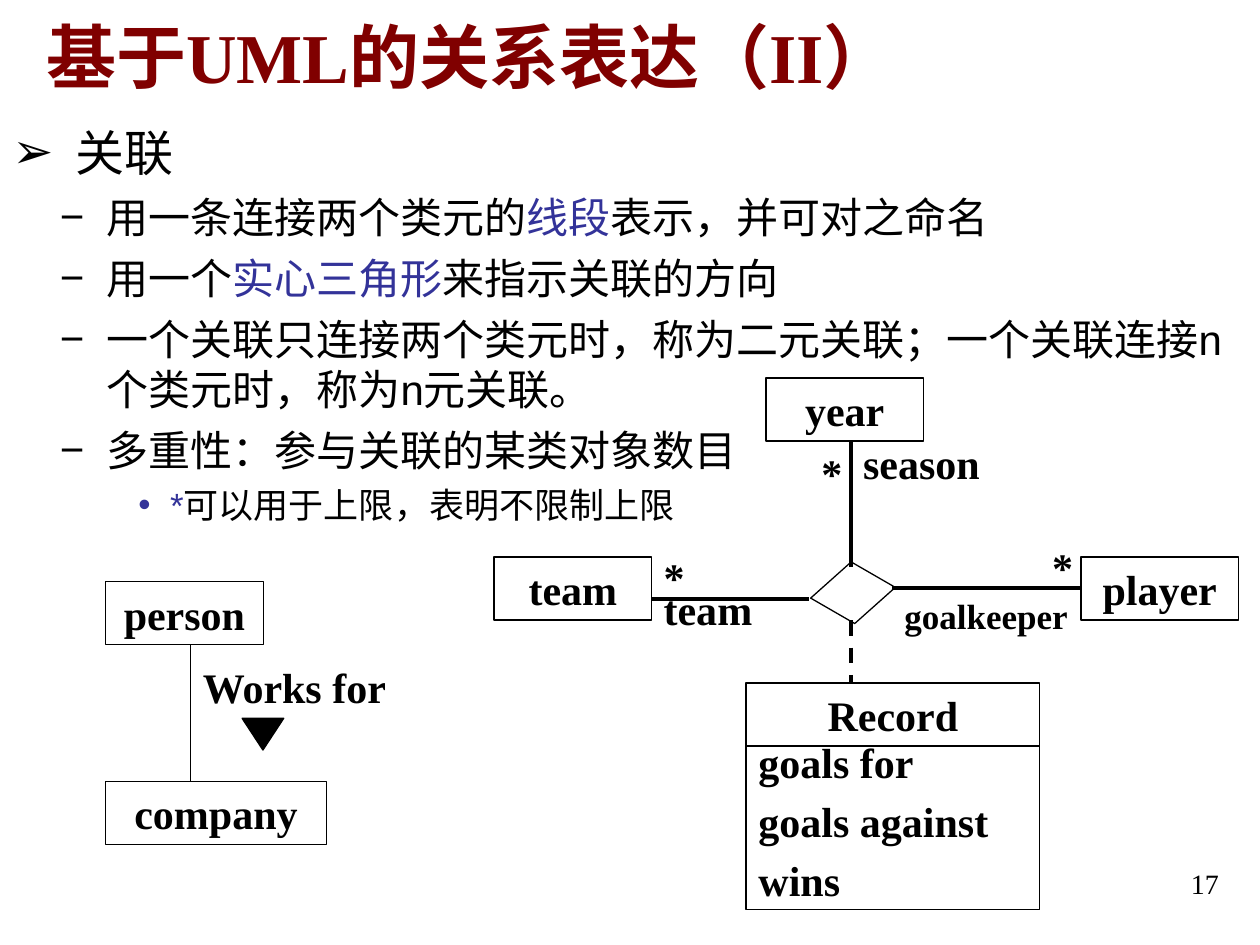
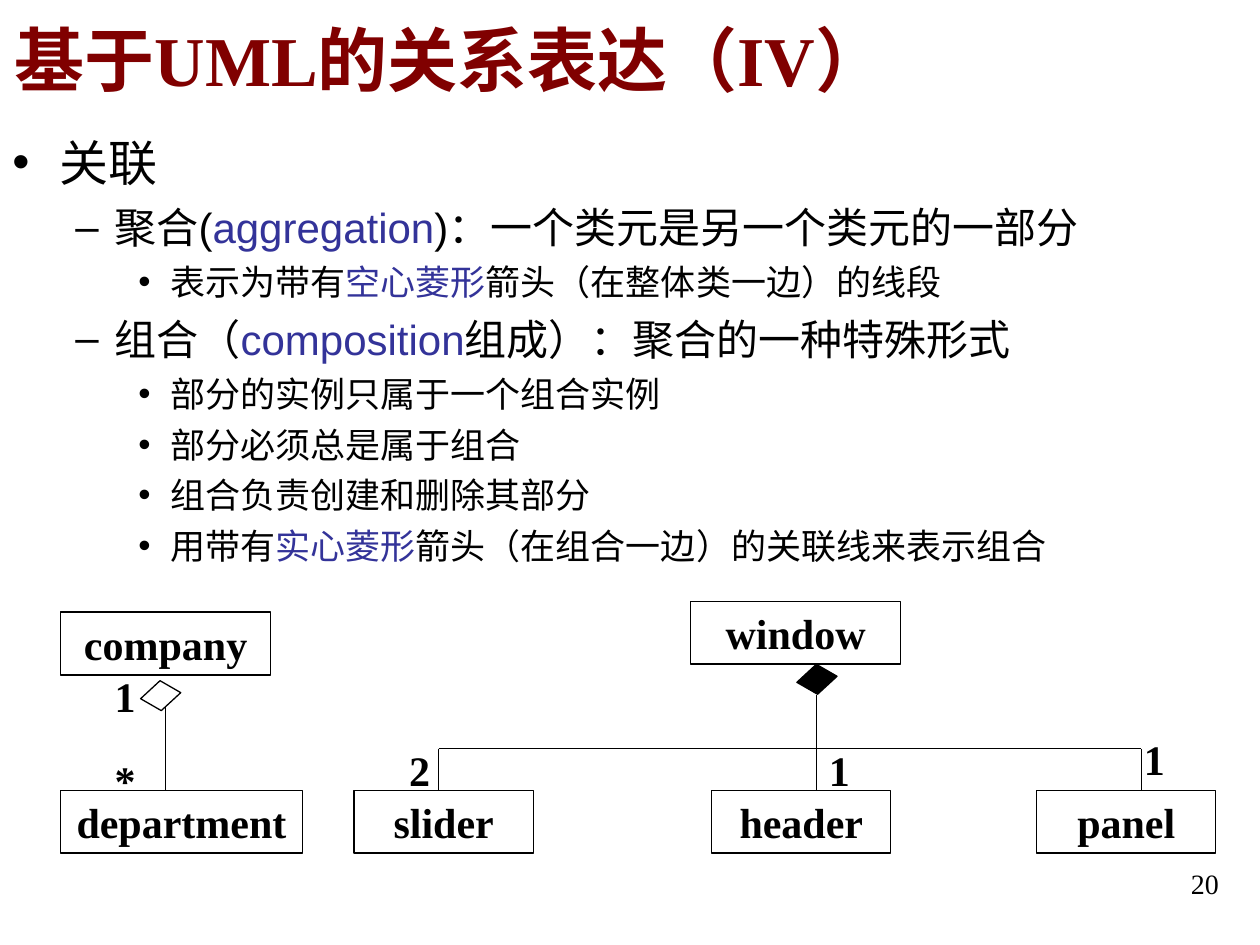
import pptx
import pptx.util
import pptx.dml.color
import pptx.enum.dml
import pptx.enum.shapes
import pptx.enum.text
import pptx.oxml.ns
from lxml import etree

Cm = pptx.util.Cm
Pt = pptx.util.Pt
SHAPE = pptx.enum.shapes.MSO_SHAPE
ALIGN = pptx.enum.text.PP_ALIGN
ANCHOR = pptx.enum.text.MSO_ANCHOR
qn = pptx.oxml.ns.qn

BLACK = pptx.dml.color.RGBColor(0x00, 0x00, 0x00)
MAROON = pptx.dml.color.RGBColor(0x80, 0x00, 0x00)
INDIGO = pptx.dml.color.RGBColor(0x33, 0x33, 0x99)
SERIF, SANS = "Times New Roman", "Arial"
BOX_H = 1.27
LEVEL_SIZES = (28, 24, 20)
LEVEL_GAPS = (7, 6, 5)

# Text between bars is highlighted.
SLIDES = [
    {
        "title": ("基于UML的关系表达（II）", 0.69, -0.48, 3.18),
        "number": "17",
        "body_at": (2.34, 8.69),
        "bullets": [("➢", 1.27, 1.27), ("−", 1.9, 0.94), ("•", 3.18, 0.64)],
        "body": [
            (0, "关联"),
            (1, "用一条连接两个类元的|线段|表示，并可对之命名"),
            (1, "用一个|实心三角形|来指示关联的方向"),
            (1, "一个关联只连接两个类元时，称为二元关联；一个关联连接n个类元时，称为n元关联。"),
            (1, "多重性：参与关联的某类对象数目"),
            (2, "|*|可以用于上限，表明不限制上限"),
        ],
        "classes": [
            ("person", 2.13, 11.73, 3.18),
            ("company", 2.13, 15.75, 4.45),
            ("team", 9.96, 11.23, 3.18),
            ("year", 15.44, 7.62, 3.18),
            ("player", 21.79, 11.23, 3.18),
            ("Record", 15.04, 13.77, 5.92),
        ],
        "attributes": (["goals for", "goals against", "wins"], 15.04, 15.04, 5.92, 3.3),
        "triangle": (4.88, 14.48, 0.84, 0.64),
        "diamonds": [(16.51, 11.43, 1.37, 1.04, 0.33, False)],
        "lines": [
            (3.84, 13.0, 3.84, 15.75, 0.75, False),
            (13.13, 12.07, 16.31, 12.07, 2.25, False),
            (17.15, 11.43, 17.15, 8.89, 2.25, False),
            (17.98, 11.86, 21.79, 11.86, 2.25, False),
            (17.15, 12.5, 17.15, 13.77, 2.25, True),
        ],
        "labels": [
            ("Works for", 3.84, 13.21, 4.88, 24),
            ("season", 17.15, 8.69, 3.61, 24),
            ("team", 13.13, 11.63, 3.61, 24),
            ("goalkeeper", 17.98, 11.86, 4.24, 20),
            ("*", 16.31, 8.89, 0.84, 24),
            ("*", 13.13, 11.0, 0.84, 24),
            ("*", 20.96, 10.8, 0.84, 24),
        ],
    },
    {
        "title": ("基于UML的关系表达（IV）", 0.05, 0, 2.34),
        "number": "20",
        "body_at": (2.54, 11.0),
        "bullets": [("•", 0.96, 0.96), ("–", 2.06, 0.79), ("•", 3.18, 0.64)],
        "body": [
            (0, "关联"),
            (1, "聚合(|aggregation|)：一个类元是另一个类元的一部分"),
            (2, "表示为带有|空心菱形|箭头（在整体类一边）的线段"),
            (1, "组合（|composition|组成）：聚合的一种特殊形式"),
            (2, "部分的实例只属于一个组合实例"),
            (2, "部分必须总是属于组合"),
            (2, "组合负责创建和删除其部分"),
            (2, "用带有|实心菱形|箭头（在组合一边）的关联线来表示组合"),
        ],
        "classes": [
            ("company", 1.22, 12.34, 4.24),
            ("department", 1.22, 15.93, 4.88),
            ("window", 13.92, 12.12, 4.24),
            ("slider", 7.14, 15.93, 3.61),
            ("header", 14.35, 15.93, 3.61),
            ("panel", 20.9, 15.93, 3.61),
        ],
        "diamonds": [
            (2.92, 13.77, 0.64, 0.51, 0.31, False),
            (16.15, 13.44, 0.64, 0.51, 0.31, True),
        ],
        "lines": [
            (3.33, 14.25, 3.33, 15.93, 0.75, False),
            (8.84, 15.09, 8.84, 15.93, 0.75, False),
            (8.84, 15.09, 23.01, 15.09, 0.75, False),
            (23.01, 15.09, 23.01, 15.93, 0.75, False),
            (16.46, 15.93, 16.46, 14.02, 0.75, False),
        ],
        "labels": [
            ("1", 2.06, 13.39, 1.07, 24),
            ("*", 2.06, 15.09, 1.07, 24),
            ("2", 8.0, 14.88, 1.7, 24),
            ("1", 16.46, 14.88, 1.7, 24),
            ("1", 22.81, 14.66, 1.7, 24),
        ],
    },
]


def style(font, size, color=BLACK, name=SERIF, bold=True):
    font.size, font.name, font.bold = Pt(size), name, bold
    font.color.rgb = color


def add_text(s, text, x, y, w, h, size, color=BLACK, bold=True, align=ALIGN.LEFT,
             anchor=ANCHOR.TOP):
    tf = s.shapes.add_textbox(Cm(x), Cm(y), Cm(w), Cm(h)).text_frame
    tf.word_wrap, tf.vertical_anchor = True, anchor
    p = tf.paragraphs[0]
    p.text, p.alignment = text, align
    style(p.runs[0].font, size, color, bold=bold)


def add_outline(s, kind, x, y, w, h, filled=False):
    sp = s.shapes.add_shape(kind, Cm(x), Cm(y), Cm(w), Cm(h))
    sp.shadow.inherit = False
    if filled:
        sp.fill.solid()
        sp.fill.fore_color.rgb = BLACK
    else:
        sp.fill.background()
    sp.line.color.rgb, sp.line.width = BLACK, Pt(0.75)
    return sp


def add_box(s, rows, x, y, w, h=BOX_H, align=ALIGN.CENTER, spacing=None):
    tf = add_outline(s, SHAPE.RECTANGLE, x, y, w, h).text_frame
    tf.word_wrap, tf.vertical_anchor = True, ANCHOR.TOP
    tf.text = "\n".join(rows)
    for i, p in enumerate(tf.paragraphs):
        p.alignment, p.line_spacing = align, spacing
        p.space_before = Pt(15 if i else 0)
        style(p.runs[0].font, 24)


def add_diamond(s, x, y, w, h, slant, filled):
    sp = add_outline(s, SHAPE.PARALLELOGRAM, x, y, w, h, filled)
    sp.adjustments[0] = slant
    sp.rotation = 30


def add_line(s, x1, y1, x2, y2, width, dashed):
    kind = pptx.enum.shapes.MSO_CONNECTOR.STRAIGHT
    c = s.shapes.add_connector(kind, Cm(x1), Cm(y1), Cm(x2), Cm(y2))
    c.line.color.rgb, c.line.width = BLACK, Pt(width)
    if dashed:
        c.line.dash_style = pptx.enum.dml.MSO_LINE.DASH
    etree.SubElement(c._element.spPr, qn("a:effectLst"))


def add_bullet(p, char, color, left, hang):
    pPr = p._p.get_or_add_pPr()
    pPr.set("marL", str(Cm(left)))
    pPr.set("indent", str(-Cm(hang)))
    clr = etree.SubElement(pPr, qn("a:buClr"))
    etree.SubElement(clr, qn("a:srgbClr"), val=str(color))
    etree.SubElement(pPr, qn("a:buFont"), typeface=SANS)
    etree.SubElement(pPr, qn("a:buChar"), char=char)


def add_body(s, items, bullets, y, h):
    tf = s.shapes.add_textbox(0, Cm(y), Cm(25.4), Cm(h)).text_frame
    tf.word_wrap = True
    for i, (level, text) in enumerate(items):
        p = tf.add_paragraph() if i else tf.paragraphs[0]
        char, left, hang = bullets[level]
        add_bullet(p, char, INDIGO if text.startswith("|") else BLACK, left, hang)
        p.level = level
        p.space_before = Pt(LEVEL_GAPS[level] if i else 0)
        for j, part in enumerate(text.split("|")):
            if part:
                r = p.add_run()
                r.text = part
                style(r.font, LEVEL_SIZES[level], INDIGO if j % 2 else BLACK, SANS, False)


def build(prs, content):
    s = prs.slides.add_slide(prs.slide_layouts[6])
    title, x, y, h = content["title"]
    add_text(s, title, x, y, 25.4, h, 40, MAROON, anchor=ANCHOR.MIDDLE)
    add_body(s, content["body"], content["bullets"], *content["body_at"])
    for name, x, y, w in content["classes"]:
        add_box(s, [name], x, y, w)
    if "attributes" in content:
        add_box(s, *content["attributes"], align=ALIGN.LEFT, spacing=0.65)
    if "triangle" in content:
        add_outline(s, SHAPE.ISOSCELES_TRIANGLE, *content["triangle"], True).rotation = 180
    for diamond in content["diamonds"]:
        add_diamond(s, *diamond)
    for line in content["lines"]:
        add_line(s, *line)
    for text, x, y, w, size in content["labels"]:
        add_text(s, text, x, y, w, BOX_H, size)
    add_text(s, content["number"], 18.9, 17.35, 5.92, 1.32, 16, bold=False, align=ALIGN.RIGHT)


def main():
    prs = pptx.Presentation()
    prs.slide_width, prs.slide_height = Cm(25.4), Cm(19.05)
    for content in SLIDES:
        build(prs, content)
    prs.save("out.pptx")


if __name__ == "__main__":
    main()
